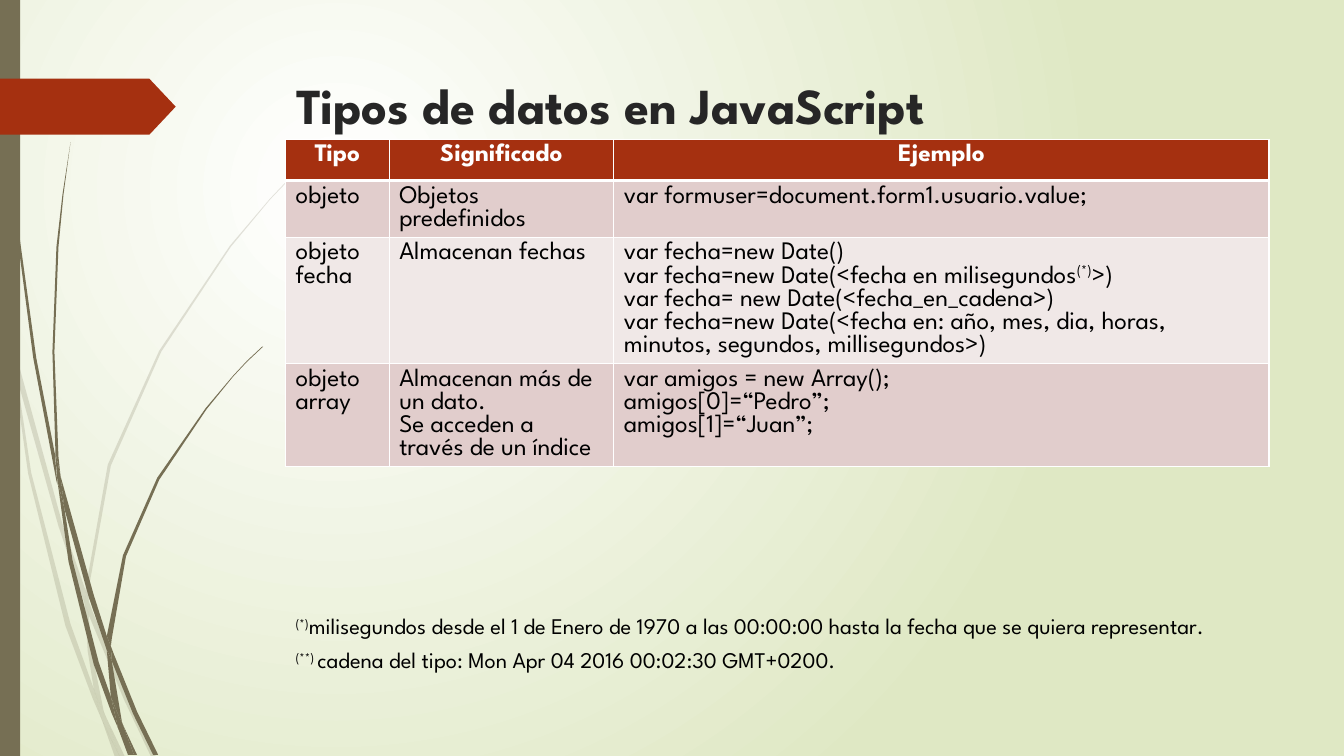
import pptx
import pptx.dml.color
import pptx.enum.shapes
import pptx.enum.text
import pptx.oxml
import pptx.oxml.ns
import pptx.util

Pt = pptx.util.Pt
Align = pptx.enum.text.PP_ALIGN
Anchor = pptx.enum.text.MSO_ANCHOR
Shape = pptx.enum.shapes.MSO_SHAPE

FONT = "League Spartan"
OLIVE, RUST, WHITE, BLACK = "766F54", "A53010", "FFFFFF", "000000"
BANDS = ["E1CDCC", "F0E8E7"]
TITLE = "Tipos de datos en JavaScript"

# Text between two ^ is raised; a line break stays inside its paragraph.
HEADER = ["Tipo", "Significado", "Ejemplo"]
ROWS = [
    [["objeto"], ["Objetos predefinidos"], ["var formuser=document.form1.usuario.value;"]],
    [["objeto fecha"], ["Almacenan fechas"],
     ["var fecha=new Date()\nvar fecha=new Date(<fecha en milisegundos^(*)^>)",
      "var fecha= new Date(<fecha_en_cadena>)\n"
      "var fecha=new Date(<fecha en: año, mes, dia, horas, minutos, segundos, millisegundos>)"]],
    [["objeto array"], ["Almacenan más de un dato.", "Se acceden a través de un índice"],
     ["var amigos = new Array();", "amigos[0]=“Pedro”;", "amigos[1]=“Juan”;"]],
]
COLUMN_WIDTHS = [74, 160.5, 468]
ROW_HEIGHTS = [29.5, 40.5, 90, 73.5]
NOTES = [
    "^(*)^milisegundos desde el 1 de Enero de 1970 a las 00:00:00 hasta la fecha que se quiera representar.",
    "^(**) ^cadena del tipo: Mon Apr 04 2016 00:02:30 GMT+0200.",
]

# Outlines of the grass blades, on a grid of 0.72 points.
GRID = 0.72
PALE_GRASS = [
    [(11, 350), (9, 322), (0, 282), (0, 299), (10, 344)],
    [(58, 522), (84, 599), (85, 586), (62, 520), (14, 345), (17, 376)],
    [(92, 607), (88, 596), (88, 610), (123, 694), (150, 751), (155, 751), (127, 692)],
    [(119, 751), (124, 751), (105, 711)],
    [(93, 683), (70, 619), (31, 469), (17, 376), (11, 350), (28, 470), (65, 621),
     (92, 693), (101, 714), (99, 707)],
    [(84, 599), (87, 646), (93, 683), (96, 692), (105, 711), (103, 706), (91, 646),
     (88, 610), (88, 608)],
    [(88, 584), (110, 462), (160, 349), (229, 245), (268, 198), (290, 175), (312, 154),
     (312, 153), (289, 175), (268, 197), (228, 244), (158, 348), (107, 461), (85, 584),
     (85, 586), (88, 596)],
    [(101, 714), (114, 751), (119, 751)],
    [(88, 608), (88, 610), (88, 596), (85, 586), (84, 599)],
    [(96, 692), (93, 683), (99, 707), (101, 714), (119, 751), (105, 711)],
]
DARK_GRASS = [
    [(7, 110), (17, 233), (33, 355), (56, 477), (57, 481), (55, 457), (55, 453), (36, 355),
     (19, 232), (8, 109), (5, 48), (4, 0), (3, 0), (4, 48)],
    [(88, 592), (106, 645), (106, 631), (93, 590), (60, 472), (64, 505)],
    [(113, 649), (110, 641), (111, 656), (132, 708), (152, 749), (157, 749), (136, 706)],
    [(110, 691), (98, 657), (72, 556), (64, 505), (57, 477), (68, 557), (93, 659),
     (111, 708), (117, 722), (116, 717)],
    [(60, 472), (58, 453), (54, 349), (58, 245), (63, 193), (70, 141), (62, 193),
     (56, 245), (52, 349), (55, 449)],
    [(133, 749), (136, 749), (122, 719)],
    [(57, 477), (64, 505), (60, 472), (55, 449), (55, 453)],
    [(111, 633), (125, 552), (158, 476), (205, 406), (231, 374), (245, 359), (261, 344),
     (260, 344), (245, 358), (231, 373), (204, 405), (156, 474), (122, 551), (106, 631),
     (110, 641)],
    [(117, 722), (127, 749), (131, 749)],
    [(106, 645), (110, 691), (116, 706), (122, 719), (121, 716), (111, 656), (109, 651)],
    [(106, 645), (109, 651), (111, 656), (110, 641), (106, 631)],
    [(116, 706), (110, 691), (116, 717), (117, 722), (130, 749), (133, 749), (122, 719)],
]


def color(code):
    return pptx.dml.color.RGBColor.from_string(code)


def drawing_element(markup):
    """Parse one DrawingML element; its root tag must come without attributes of its own."""
    return pptx.oxml.parse_xml(markup.replace(">", " " + pptx.oxml.ns.nsdecls("a") + ">", 1))


def paint(shape, code, alpha=None):
    shape.shadow.inherit = False
    shape.fill.solid()
    shape.fill.fore_color.rgb = color(code)
    shape.line.fill.background()
    if alpha:
        tone = shape.fill._xPr.find(".//" + pptx.oxml.ns.qn("a:srgbClr"))
        tone.append(drawing_element("<a:alpha></a:alpha>"))
        tone[0].set("val", str(alpha * 1000))


def write(frame, lines, size=18, code=BLACK, bold=False, align=Align.LEFT, before=0):
    frame.word_wrap = True
    for number, line in enumerate(lines):
        para = frame.add_paragraph() if number else frame.paragraphs[0]
        para.alignment = align
        para.space_before = Pt(before)
        for index, piece in enumerate(line.split("^")):
            for row, text in enumerate(piece.split("\n")):
                if row:
                    para.add_line_break()
                if not text:
                    continue
                span = para.add_run()
                span.text = text
                span.font.name, span.font.size, span.font.bold = FONT, Pt(size), bold
                span.font.color.rgb = color(code)
                if index % 2:
                    span._r.get_or_add_rPr().set("baseline", "30000")


def set_background(page):
    fill = page.background.fill
    fill.gradient()
    for stop, code in zip(fill.gradient_stops, [WHITE, "DFE8C4"]):
        stop.color.rgb = color(code)
    gradient = fill._fill._gradFill
    gradient.replace(gradient.find(pptx.oxml.ns.qn("a:lin")), drawing_element(
        '<a:path><a:fillToRect l="50000" t="50000" r="100000" b="100000"/></a:path>'))
    gradient[-1].set("path", "circle")


def draw_grass(page, outlines, alpha=None):
    for start, *others in outlines:
        builder = page.shapes.build_freeform(*start, scale=Pt(GRID))
        builder.add_line_segments(others, close=True)
        paint(builder.convert_to_shape(), OLIVE, alpha)


def set_borders(cell, bottom):
    properties = cell._tc.get_or_add_tcPr()
    for place, (side, width) in enumerate([("L", 1), ("R", 1), ("T", 1), ("B", bottom)]):
        line = drawing_element(
            f'<a:ln{side}><a:solidFill><a:srgbClr val="{WHITE}"/></a:solidFill></a:ln{side}>')
        line.set("w", str(Pt(width)))
        properties.insert(place, line)


def draw_table(page):
    rows = [[[name] for name in HEADER]] + ROWS
    table = page.shapes.add_table(len(rows), len(HEADER), Pt(204), Pt(99.5),
                                  Pt(sum(COLUMN_WIDTHS)), Pt(sum(ROW_HEIGHTS))).table
    for column, width in zip(table.columns, COLUMN_WIDTHS):
        column.width = Pt(width)
    for number, (row, height) in enumerate(zip(rows, ROW_HEIGHTS)):
        table.rows[number].height = Pt(height)
        head = number == 0
        for cell, lines in zip(table.rows[number].cells, row):
            write(cell.text_frame, lines, code=WHITE if head else BLACK, bold=head,
                  align=Align.CENTER if head else Align.LEFT)
            cell.fill.solid()
            cell.fill.fore_color.rgb = color(RUST if head else BANDS[(number - 1) % 2])
            set_borders(cell, 3 if head else 1)


def main():
    deck = pptx.Presentation()
    deck.slide_width, deck.slide_height = Pt(960), Pt(540)
    page = deck.slides.add_slide(deck.slide_layouts[5])
    set_background(page)
    draw_grass(page, PALE_GRASS, alpha=20)
    draw_grass(page, DARK_GRASS)
    paint(page.shapes.add_shape(Shape.RECTANGLE, 0, 0, Pt(14.4), Pt(540)), OLIVE)
    arrow = page.shapes.add_shape(Shape.PENTAGON, 0, Pt(56.2), Pt(125.5), Pt(40))
    arrow.adjustments[0] = 0.47
    paint(arrow, RUST)

    title = page.shapes.title
    title.left, title.top, title.width, title.height = Pt(204.5), Pt(49), Pt(702), Pt(101)
    title.text_frame.vertical_anchor = Anchor.TOP
    write(title.text_frame, [TITLE], size=36, code="262626", bold=True)

    draw_table(page)
    notes = page.shapes.add_textbox(Pt(204), Pt(434), Pt(702), Pt(85))
    write(notes.text_frame, NOTES, size=16, before=5)
    deck.save("out.pptx")


if __name__ == "__main__":
    main()
